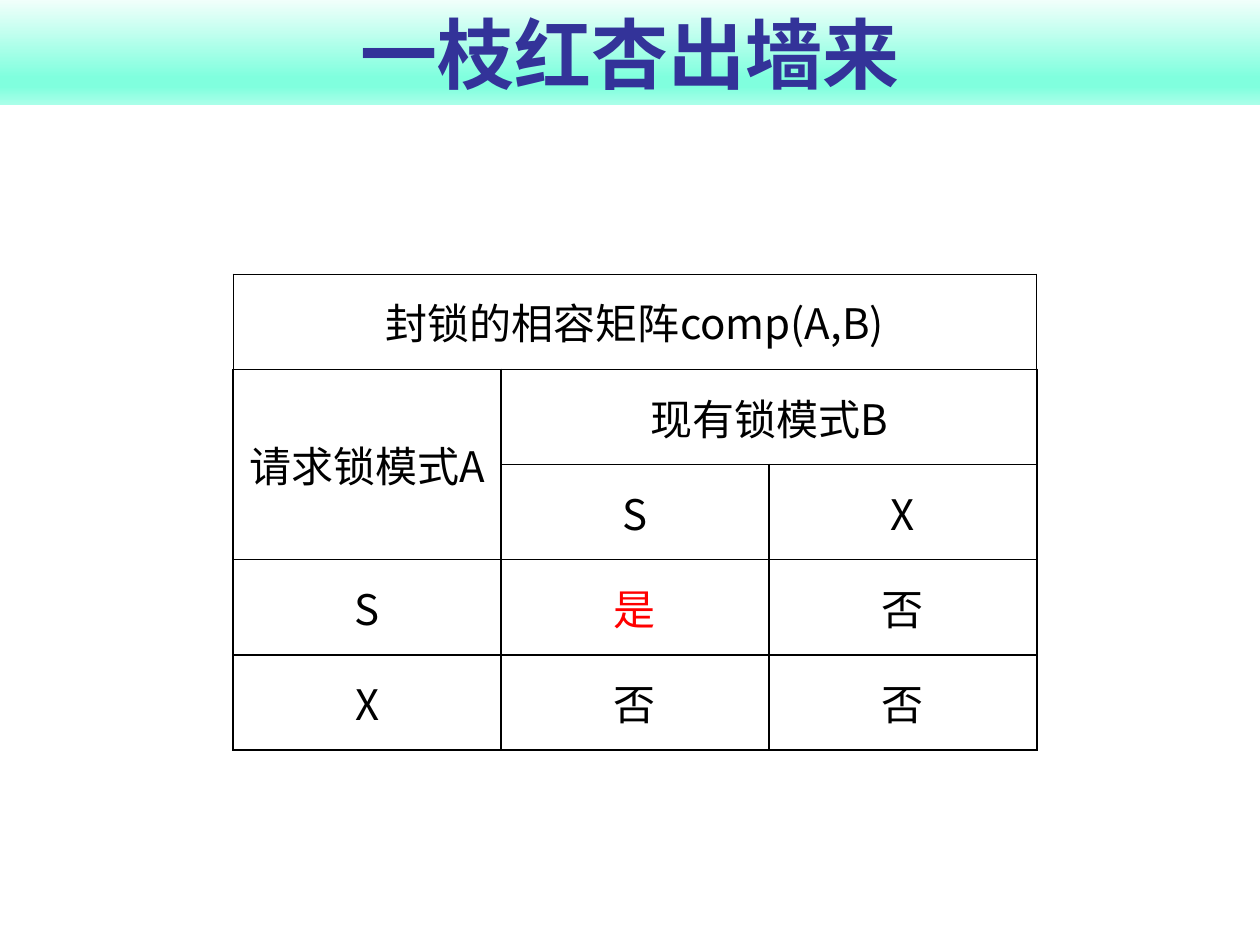
from lxml.etree import SubElement
from pptx import Presentation
from pptx.dml.color import RGBColor
from pptx.enum.shapes import MSO_SHAPE
from pptx.enum.text import MSO_ANCHOR, PP_ALIGN
from pptx.oxml.ns import qn
from pptx.util import Pt

BLACK = RGBColor(0x00, 0x00, 0x00)
RED = RGBColor(0xFF, 0x00, 0x00)
INDIGO = RGBColor(0x33, 0x33, 0x99)
PALE_MINT = RGBColor(0xF1, 0xFF, 0xFB)
MINT = RGBColor(0x80, 0xFF, 0xDE)
LIGHT_MINT = RGBColor(0xAA, 0xFF, 0xE9)

BANNER_STOPS = [(0, PALE_MINT), (74, MINT), (83, MINT), (100, LIGHT_MINT)]
CJK_FONT = "Noto Sans CJK SC"
COLUMN_WIDTH, ROW_HEIGHT = 153.1, 54.4
MATRIX = [
    ["封锁的相容矩阵comp(A,B)", "", ""],
    ["请求锁模式A", "现有锁模式B", ""],
    ["", "S", "X"],
    ["S", "是", "否"],
    ["X", "否", "否"],
]
MERGES = [((0, 0), (0, 2)), ((1, 0), (2, 0)), ((1, 1), (1, 2))]


def write_text(text_frame, text, font_name, size, color, bold=False):
    paragraph = text_frame.paragraphs[0]
    paragraph.alignment = PP_ALIGN.CENTER
    run = paragraph.add_run()
    run.text = text
    run.font.size = Pt(size)
    run.font.bold = bold
    run.font.color.rgb = color
    run.font.name = font_name
    SubElement(run.font._element, qn("a:ea"), typeface=CJK_FONT)


def set_gradient(fill, stops):
    fill.gradient()
    fill.gradient_angle = 270
    stop_list = fill._xPr.find(qn("a:gradFill")).find(qn("a:gsLst"))
    for old_stop in list(stop_list):
        stop_list.remove(old_stop)
    for percent, color in stops:
        stop = SubElement(stop_list, qn("a:gs"), pos=str(percent * 1000))
        SubElement(stop, qn("a:srgbClr"), val=str(color))


def add_title_banner(slide, width):
    banner = slide.shapes.add_shape(
        MSO_SHAPE.RECTANGLE, Pt(0), Pt(0), width, Pt(59.8))
    banner.shadow.inherit = False
    banner.line.fill.background()
    set_gradient(banner.fill, BANNER_STOPS)
    text_frame = banner.text_frame
    text_frame.word_wrap = True
    text_frame.vertical_anchor = MSO_ANCHOR.BOTTOM
    text_frame.margin_top = Pt(0)
    text_frame.margin_bottom = Pt(3.6)
    write_text(text_frame, "一枝红杏出墙来", "Cabin", 44, INDIGO, bold=True)


def set_borders(cell, widths):
    properties = cell._tc.get_or_add_tcPr()
    for side, width in zip("LRTB", widths):
        line = SubElement(properties, qn(f"a:ln{side}"), w=str(Pt(width)))
        solid = SubElement(line, qn("a:solidFill"))
        SubElement(solid, qn("a:srgbClr"), val=str(BLACK))


def add_lock_matrix(slide):
    row_count, column_count = len(MATRIX), len(MATRIX[0])
    frame = slide.shapes.add_table(
        row_count, column_count, Pt(133.2), Pt(156.6),
        Pt(COLUMN_WIDTH * column_count), Pt(ROW_HEIGHT * row_count))
    table = frame.table
    table.first_row = table.horz_banding = False
    for column in table.columns:
        column.width = Pt(COLUMN_WIDTH)
    for row in table.rows:
        row.height = Pt(ROW_HEIGHT)
    for start, end in MERGES:
        table.cell(*start).merge(table.cell(*end))
    for row_index, texts in enumerate(MATRIX):
        for column_index, text in enumerate(texts):
            cell = table.cell(row_index, column_index)
            set_borders(cell, (0.75, 0.75, 0.75, 1) if row_index == 0 else (1,) * 4)
            cell.fill.background()
            cell.vertical_anchor = MSO_ANCHOR.MIDDLE
            if text:
                color = RED if text == "是" else BLACK
                write_text(cell.text_frame, text, CJK_FONT, 24, color)


def main():
    presentation = Presentation()
    presentation.slide_width, presentation.slide_height = Pt(720), Pt(540)
    slide = presentation.slides.add_slide(presentation.slide_layouts[6])
    add_title_banner(slide, presentation.slide_width)
    add_lock_matrix(slide)
    presentation.save("out.pptx")


if __name__ == "__main__":
    main()
